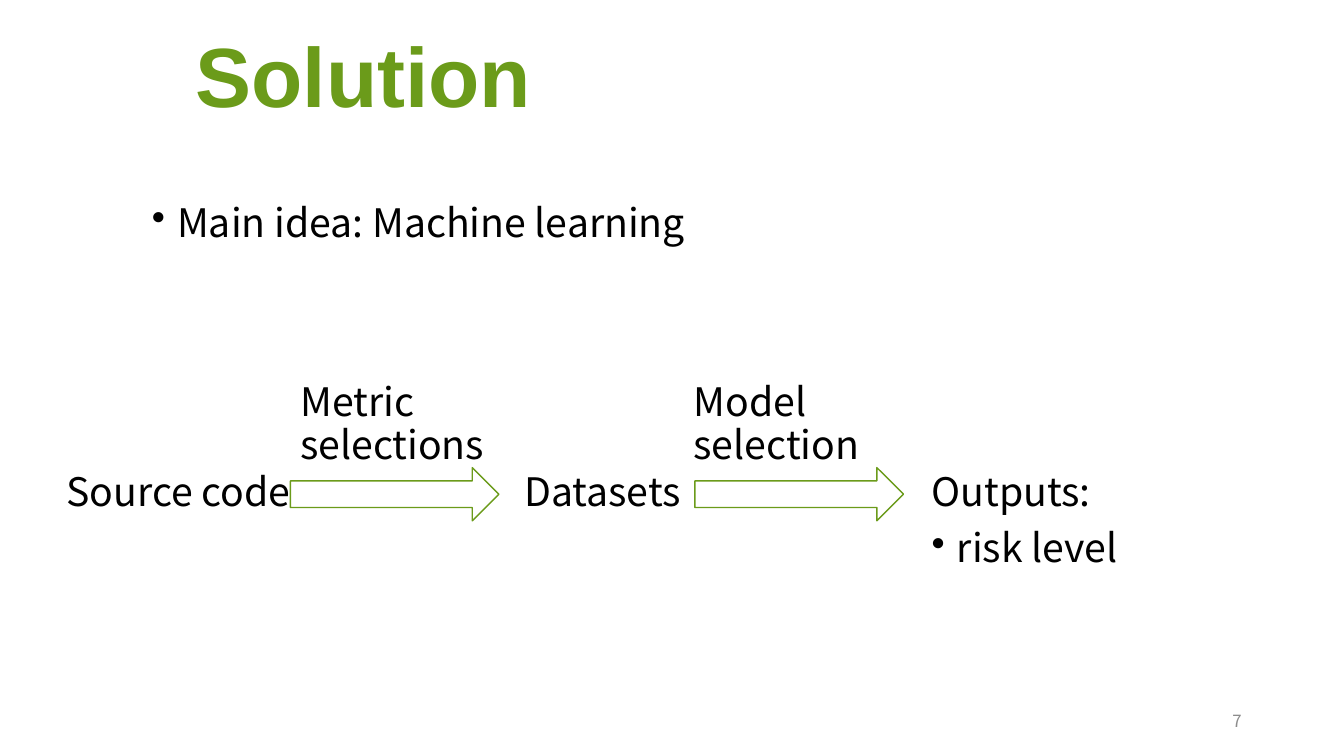
import pptx
import pptx.util
import pptx.dml.color
import pptx.enum.shapes
import pptx.enum.text
import pptx.oxml

Pt = pptx.util.Pt
Align = pptx.enum.text.PP_ALIGN
Anchor = pptx.enum.text.MSO_ANCHOR
GREEN, BLACK, GREY = "6B9B1A", "000000", "8C8C8C"
SANS = "Noto Sans CJK SC"
BODY = {"name": SANS, "size": Pt(28)}
FLOW = {"line_spacing": 0.9, "space_before": Pt(10)}
FRAME = {"word_wrap": True, "auto_size": pptx.enum.text.MSO_AUTO_SIZE.NONE}


def paint(hue):
    return pptx.dml.color.RGBColor.from_string(hue)


def assign(item, values):
    for key, value in values.items():
        setattr(item, key, value)


def points(box):
    return [Pt(value) for value in box]


def bullet(para):
    props = para._p.get_or_add_pPr()
    props.set("marL", str(Pt(18)))
    props.set("indent", str(-Pt(18)))
    mark = pptx.oxml.parse_xml(
        '<a:buChar xmlns:a="http://schemas.openxmlformats.org/drawingml/2006/main" char="•"/>')
    props.append(mark)


def style(para, text, font, hue, flow):
    run = para.add_run()
    run.text = text
    assign(run.font, font)
    run.font.color.rgb = paint(hue)
    assign(para, flow)


def head(slide, box, text):
    title = slide.shapes.title
    assign(title, dict(zip(("left", "top", "width", "height"), points(box))))
    frame = title.text_frame
    assign(frame, FRAME | {"vertical_anchor": Anchor.BOTTOM})
    font = {"name": "Arial", "size": Pt(60), "bold": True}
    style(frame.paragraphs[0], text, font, GREEN, {"alignment": Align.LEFT})


def note(slide, box, lines):
    frame = slide.shapes.add_textbox(*points(box)).text_frame
    assign(frame, FRAME)
    for index, (text, dotted) in enumerate(lines):
        para = frame.add_paragraph() if index else frame.paragraphs[0]
        style(para, text, BODY, BLACK, FLOW)
        if dotted:
            bullet(para)


def arrow(slide, box):
    kind = pptx.enum.shapes.MSO_SHAPE.RIGHT_ARROW
    shape = slide.shapes.add_shape(kind, *points(box))
    shape.shadow.inherit = False
    shape.fill.background()
    shape.line.color.rgb = paint(GREEN)
    shape.line.width = Pt(1)


def chain(slide, box):
    left, top, width, height = box
    base = top + 64
    deep = height - 64
    stages = [
        (0, 182, [("Source code", False)]),
        (327, 134, [("Datasets", False)]),
        (618, 182, [("Outputs:", False), ("risk level", True)]),
    ]
    for shift, wide, lines in stages:
        note(slide, (left + shift, base, wide, deep), lines)
    steps = [(167, 167, "Metric selections"), (448, 456, "Model selection")]
    for shift, start, text in steps:
        note(slide, (left + shift, top, 182, deep), [(text, False)])
        arrow(slide, (left + start, base, 149, 38))


def number(slide, box, text):
    frame = slide.shapes.add_textbox(*points(box)).text_frame
    assign(frame, FRAME | {"vertical_anchor": Anchor.MIDDLE})
    font = {"name": SANS, "size": Pt(12)}
    style(frame.paragraphs[0], text, font, GREY, {"alignment": Align.RIGHT})


def main():
    deck = pptx.Presentation()
    assign(deck, {"slide_width": Pt(960), "slide_height": Pt(540)})
    slide = deck.slides.add_slide(deck.slide_layouts[5])
    head(slide, (132.5, 13.7, 708, 79), "Solution")
    note(slide, (101.5, 142, 828, 250), [("Main idea: Machine learning", True)])
    chain(slide, (40.4, 270, 800, 191))
    number(slide, (678, 500.5, 216, 29), "7")
    deck.save("out.pptx")


if __name__ == "__main__":
    main()
